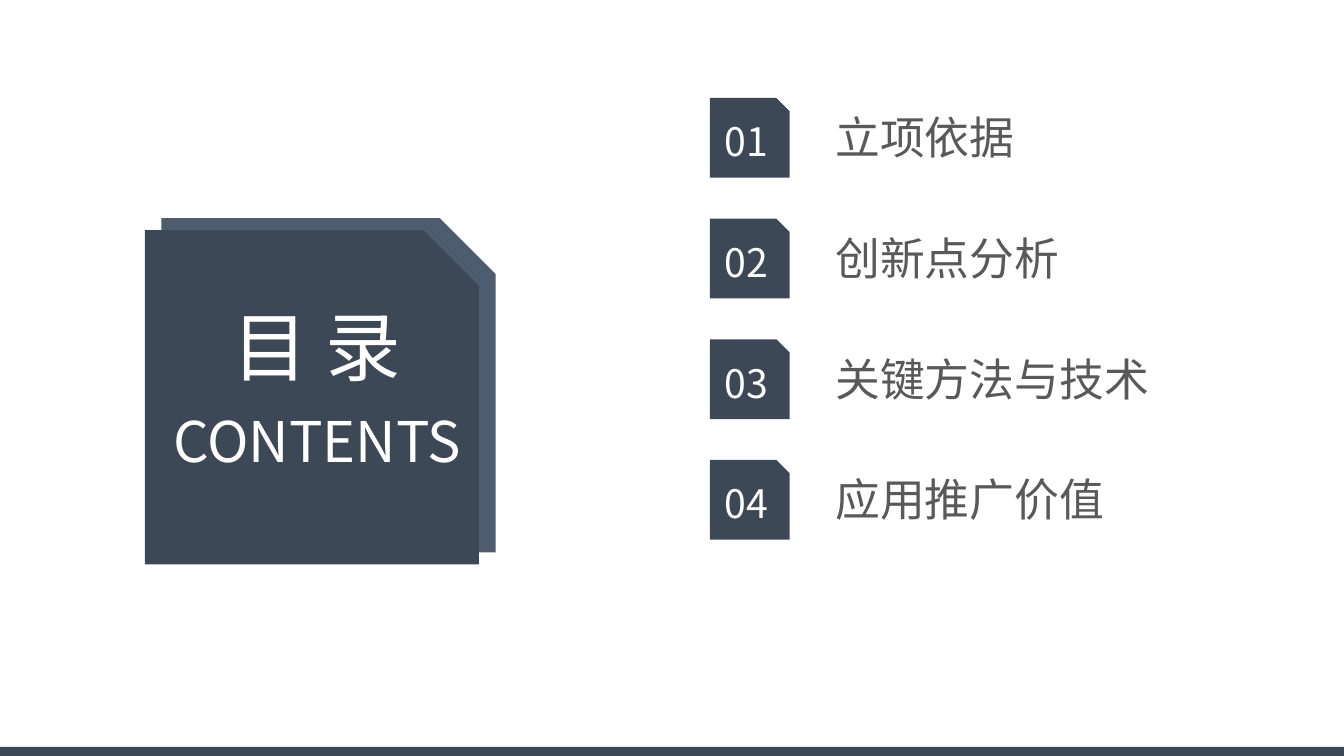
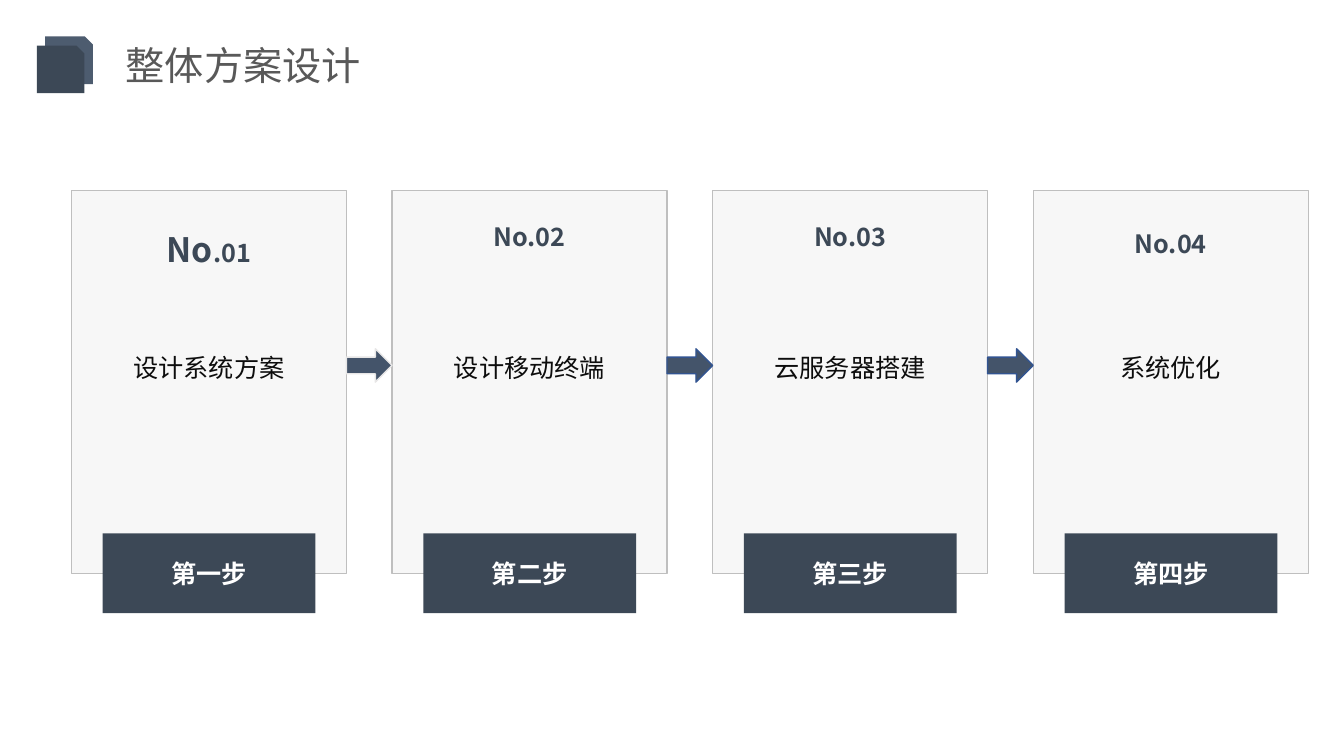
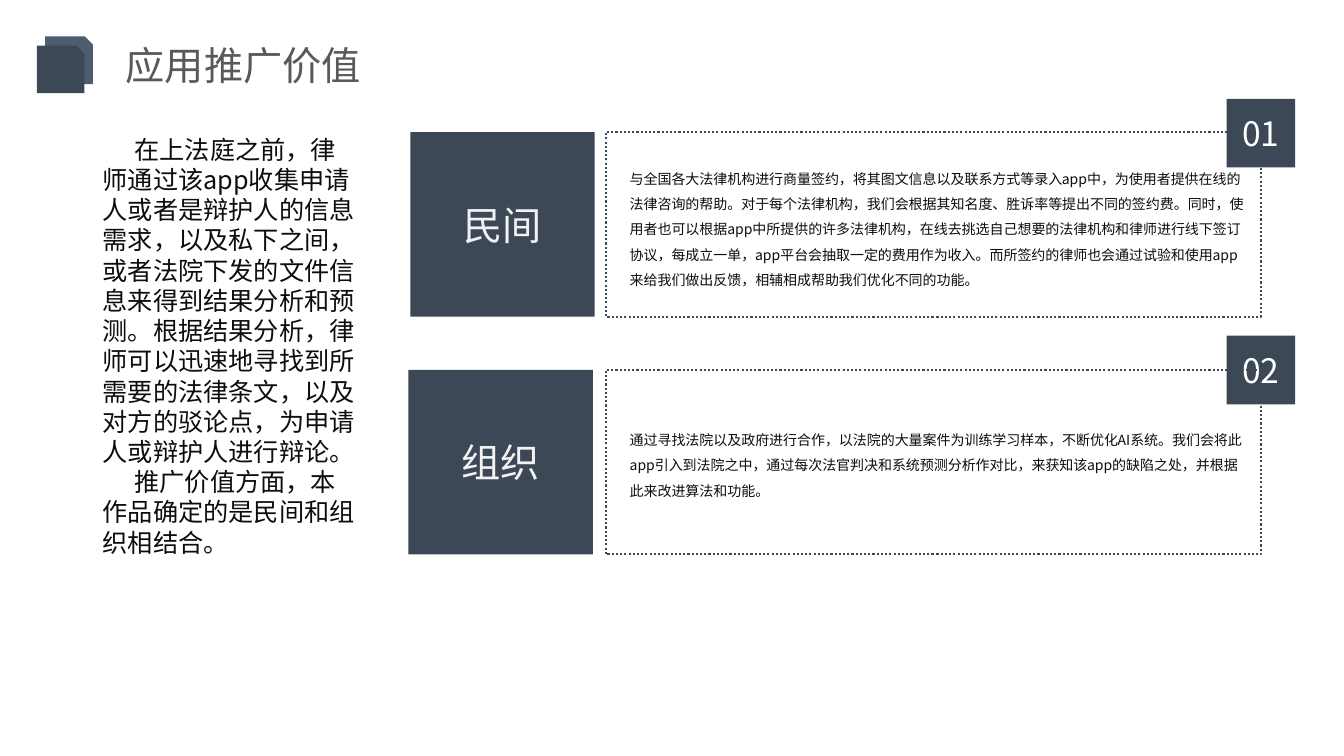
"""Build a contents slide, a four-step plan slide and a value slide."""
from lxml import etree
from pptx import Presentation
from pptx.dml.color import RGBColor
from pptx.enum import dml, shapes, text as txt
from pptx.oxml import ns
from pptx.util import Cm, Pt

FONT = "Noto Sans CJK SC"
DARK, SLATE, GRAY, INK, WHITE = "3C4856", "4D5C6F", "595959", "0D0D0D", "FFFFFF"
RECT = shapes.MSO_SHAPE.RECTANGLE
SNIP = shapes.MSO_SHAPE.SNIP_1_RECTANGLE
ARROW = shapes.MSO_SHAPE.RIGHT_ARROW
LEFT, MID = txt.PP_ALIGN.LEFT, txt.PP_ALIGN.CENTER
hue = RGBColor.from_string


def draw(page, kind, x, y, w, h, fill=None, line=None, width=1):
    area = Cm(x), Cm(y), Cm(w), Cm(h)
    shape = page.shapes.add_shape(kind, *area)
    shape.shadow.inherit = False
    if fill:
        shape.fill.solid()
        shape.fill.fore_color.rgb = hue(fill)
    else:
        shape.fill.background()
    if line:
        shape.line.color.rgb = hue(line)
        shape.line.width = Pt(width)
    else:
        shape.line.fill.background()
    return shape


def write(shape, words, size, color, align=MID, bold=False, middle=True, pad=0.25, lead=None):
    frame = shape.text_frame
    frame.text = words
    frame.word_wrap = True
    frame.margin_left = frame.margin_right = Cm(pad)
    frame.vertical_anchor = txt.MSO_ANCHOR.MIDDLE if middle else txt.MSO_ANCHOR.TOP
    for para in frame.paragraphs:
        para.alignment = align
        para.line_spacing = lead
        for run in para.runs:
            run.font.size = Pt(size)
            run.font.bold = bold
            run.font.color.rgb = hue(color)
            run.font.name = FONT
            east = etree.SubElement(run._r.get_or_add_rPr(), ns.qn("a:ea"))
            east.set("typeface", FONT)
    return frame


deck = Presentation()
deck.slide_width, deck.slide_height = Cm(33.87), Cm(19.05)
blank = deck.slide_layouts[6]
index, plan, value = [deck.slides.add_slide(blank) for _ in range(3)]

draw(index, SNIP, 4.07, 5.5, 8.42, 8.42, SLATE)
draw(index, SNIP, 3.65, 5.8, 8.42, 8.42, DARK)
name = index.shapes.add_textbox(Cm(3.89), Cm(7.44), Cm(8.18), Cm(2.57))
write(name, "目 录", 54, WHITE, middle=False)
name = index.shapes.add_textbox(Cm(2.82), Cm(10.13), Cm(10.34), Cm(1.96))
write(name, "CONTENTS", 40, WHITE, middle=False)

parts = ["立项依据", "创新点分析", "关键方法与技术", "应用推广价值"]
for i, part in enumerate(parts):
    y = 2.47 + i * 3.04
    badge = draw(index, SNIP, 17.89, y, 2.01, 2.01, DARK)
    write(badge, f"{i + 1:02}", 28, WHITE, pad=0.1)
    label = index.shapes.add_textbox(Cm(20.8), Cm(y + 0.18), Cm(9.2), Cm(1.63))
    write(label, part, 32, GRAY, LEFT, middle=False)
draw(index, RECT, 0, 18.82, 33.87, 0.23, DARK)

for page, title in [(plan, "整体方案设计"), (value, "应用推广价值")]:
    head = page.shapes.add_textbox(Cm(2.92), Cm(0.71), Cm(13.92), Cm(1.83))
    write(head, title, 28, GRAY, LEFT)
    draw(page, SNIP, 1.14, 0.92, 1.2, 1.2, SLATE)
    draw(page, SNIP, 0.93, 1.15, 1.2, 1.2, DARK)

steps = [
    ("第一步", "设计系统方案", 5.64),
    ("第二步", "设计移动终端", 5.44),
    ("第三步", "云服务器搭建", 5.44),
    ("第四步", "系统优化", 5.64),
]
for i, (step, task, top) in enumerate(steps):
    x = 1.8 + i * 8.08
    draw(plan, RECT, x, 4.8, 6.93, 9.65, "F7F7F7", "BFBFBF")
    tag = draw(plan, RECT, x + 0.79, 13.44, 5.36, 2.01, DARK)
    write(tag, step, 18, WHITE, bold=True)
    label = plan.shapes.add_textbox(Cm(x + 2.27), Cm(top), Cm(2.39), Cm(1.27))
    frame = write(label, f"No.{i + 1:02}", 18, DARK, bold=True, middle=False, pad=0)
    if i == 0:
        para = frame.paragraphs[0]
        para.runs[0].text = "No"
        para.runs[0].font.size = Pt(24)
        tail = para.add_run()
        tail.text = ".01"
        tail.font.size = Pt(18)
        tail.font.bold = True
        tail.font.color.rgb = hue(DARK)
        tail.font.name = FONT
    wide = 0.64 * len(task) + 0.52
    label = plan.shapes.add_textbox(Cm(x + (6.93 - wide) / 2), Cm(8.36), Cm(wide), Cm(1.27))
    write(label, task, 18, INK, middle=False, pad=0, lead=1.5)
for i, edge in enumerate(["E7E6E6", "325491", "325491"]):
    draw(plan, ARROW, 8.73 + i * 8.08, 8.79, 1.15, 0.84, "44546A", edge)

frames = []
for y in (3.33, 9.32):
    frames.append(draw(value, RECT, 15.27, y, 16.51, 4.65, None, DARK, 1.5))
    frames[-1].line.dash_style = dml.MSO_LINE.ROUND_DOT
for i, y in enumerate((2.49, 8.46)):
    badge = draw(value, RECT, 30.91, y, 1.73, 1.73, DARK)
    write(badge, f"{i + 1:02}", 24, WHITE)
value.shapes._spTree.append(frames[1]._element)

fields = [
    ("民间", 10.34, 3.33, 3.96, 3.38,
     "与全国各大法律机构进行商量签约，将其图文信息以及联系方式等录入app中，为使用者提供在线的法律咨询的帮助。"
     "对于每个法律机构，我们会根据其知名度、胜诉率等提出不同的签约费。同时，使用者也可以根据app中所提供的许多法律机构，"
     "在线去挑选自己想要的法律机构和律师进行线下签订协议，每成立一单，app平台会抽取一定的费用作为收入。"
     "而所签约的律师也会通过试验和使用app来给我们做出反馈，相辅相成帮助我们优化不同的功能。"),
    ("组织", 10.29, 9.32, 10.54, 2.18,
     "通过寻找法院以及政府进行合作，以法院的大量案件为训练学习样本，不断优化AI系统。"
     "我们会将此app引入到法院之中，通过每次法官判决和系统预测分析作对比，来获知该app的缺陷之处，并根据此来改进算法和功能。"),
]
for field, x, y, top, high, words in fields:
    block = draw(value, RECT, x, y, 4.65, 4.65, DARK)
    write(block, field, 28, "F2F2F2").paragraphs[0].space_after = Pt(6)
    body = value.shapes.add_textbox(Cm(15.62), Cm(top), Cm(16.15), Cm(high))
    write(body, words, 10, INK, LEFT, middle=False, lead=1.5)

story = (
    "在上法庭之前，律师通过该app收集申请人或者是辩护人的信息需求，以及私下之间，或者法院下发的文件信息来得到结果分析和预测。"
    "根据结果分析，律师可以迅速地寻找到所需要的法律条文，以及对方的驳论点，为申请人或辩护人进行辩论。\n"
    "推广价值方面，本作品确定的是民间和组织相结合。"
)
note = value.shapes.add_textbox(Cm(2.34), Cm(3.25), Cm(6.96), Cm(11.02))
for para in write(note, story, 18, INK, LEFT, middle=False).paragraphs:
    para._p.get_or_add_pPr().set("indent", str(Cm(0.8)))

deck.save("out.pptx")
